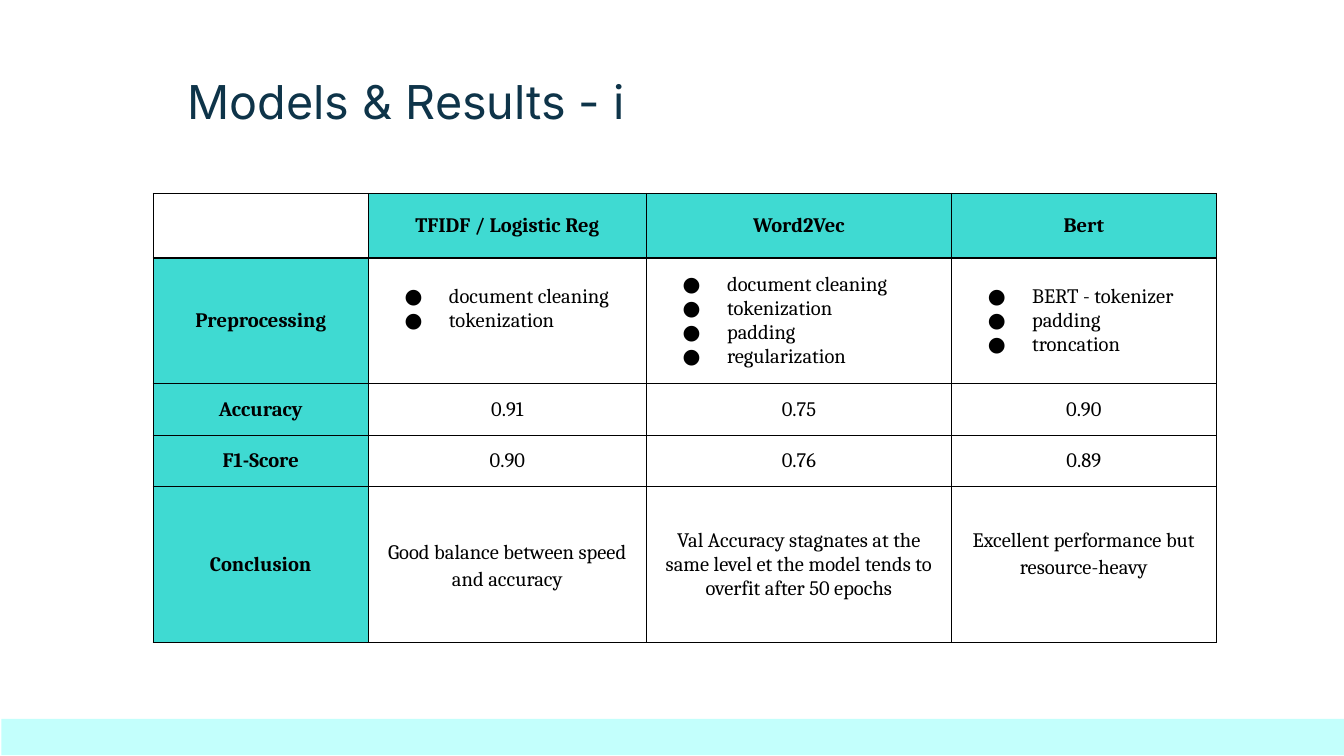
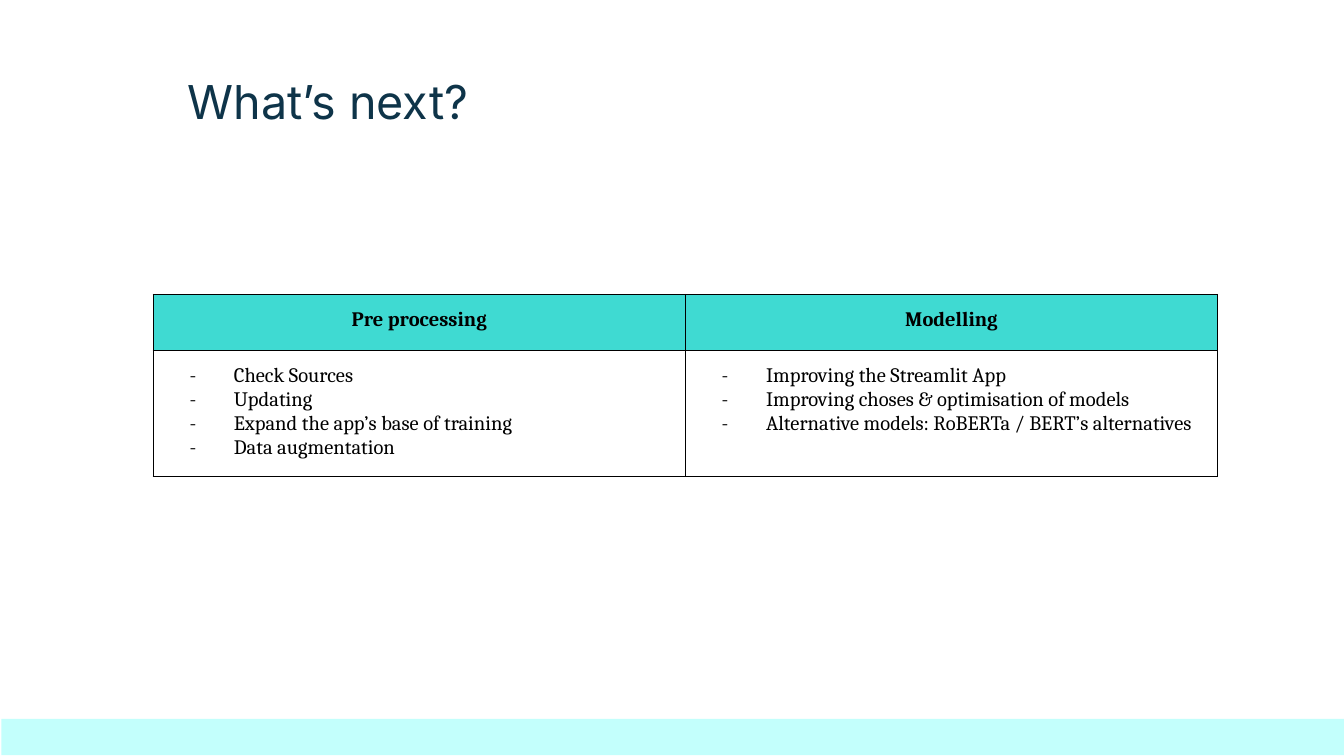
from lxml import etree
from pptx import Presentation
from pptx import util as u
from pptx.dml.color import RGBColor
from pptx.enum import shapes, text
from pptx.oxml import ns

NAVY = RGBColor(0x0E, 0x34, 0x49)
TURQUOISE = RGBColor(0x3F, 0xDA, 0xD2)
PALE_AQUA = RGBColor(0xC3, 0xFF, 0xFC)
BLACK = RGBColor(0, 0, 0)

TITLE_FONT, TABLE_FONT = "Inter", "Cambria"
TABLE_SIZE = 11
INSET = u.Inches(0.1)
RAISED_INSET = u.Inches(0.28)
TABLE_LEFT = 1.14
CENTER = text.PP_ALIGN.CENTER
TOP, MIDDLE = text.MSO_ANCHOR.TOP, text.MSO_ANCHOR.MIDDLE


def add_run(p, words, font, size, color, bold=False):
    r = p.add_run()
    r.text = words
    r.font.name = font
    r.font.size = u.Pt(size)
    r.font.color.rgb = color
    r.font.bold = bold


def set_bullet(p, char):
    pPr = p._p.get_or_add_pPr()
    pPr.set("marL", str(u.Inches(0.5)))
    pPr.set("indent", str(u.Inches(-0.33)))
    color = etree.SubElement(pPr, ns.qn("a:buClr"))
    etree.SubElement(color, ns.qn("a:srgbClr"), val=str(BLACK))
    etree.SubElement(pPr, ns.qn("a:buSzPts"), val=str(TABLE_SIZE * 100))
    etree.SubElement(pPr, ns.qn("a:buFont"), typeface=TABLE_FONT)
    etree.SubElement(pPr, ns.qn("a:buChar"), char=char)


def set_end_size(p):
    """Keep the paragraph end mark from stretching the row."""
    end = etree.SubElement(p._p, ns.qn("a:endParaRPr"),
                           sz=str(TABLE_SIZE * 100))
    etree.SubElement(end, ns.qn("a:latin"), typeface=TABLE_FONT)


def set_borders(cell):
    tcPr = cell._tc.get_or_add_tcPr()
    for side in ("lnL", "lnR", "lnT", "lnB"):
        ln = etree.SubElement(tcPr, ns.qn("a:" + side), w=str(u.Pt(0.75)))
        fill = etree.SubElement(ln, ns.qn("a:solidFill"))
        etree.SubElement(fill, ns.qn("a:srgbClr"), val=str(BLACK))


def fill_cell(cell, content, header, anchor, bullet, spacing, raised):
    """A list becomes bullets, a string one centred paragraph."""
    set_borders(cell)
    if header and content:
        cell.fill.solid()
        cell.fill.fore_color.rgb = TURQUOISE
    else:
        cell.fill.background()
    cell.vertical_anchor = anchor
    cell.margin_left = cell.margin_right = cell.margin_top = INSET
    cell.margin_bottom = RAISED_INSET if raised else INSET
    tf = cell.text_frame
    lines = content if isinstance(content, list) else [content]
    for i, line in enumerate(lines):
        p = tf.add_paragraph() if i else tf.paragraphs[0]
        if isinstance(content, list):
            set_bullet(p, bullet)
        else:
            p.alignment = CENTER
        if spacing:
            p.line_spacing = spacing
        if line:
            add_run(p, line, TABLE_FONT, TABLE_SIZE, BLACK, header)
        set_end_size(p)


def add_grid(s, top, widths, heights, rows, anchor, bullet,
             header_column=False, spacings=None, raised=()):
    spacings = spacings or {}
    frame = s.shapes.add_table(
        len(rows), len(widths), u.Inches(TABLE_LEFT), u.Inches(top),
        u.Inches(sum(widths)), u.Inches(sum(heights)))
    table = frame.table
    table.first_row = table.horz_banding = False
    for column, width in zip(table.columns, widths):
        column.width = u.Inches(width)
    for row, height in zip(table.rows, heights):
        row.height = u.Inches(height)
    for i, row in enumerate(rows):
        for j, content in enumerate(row):
            header = i == 0 or (header_column and j == 0)
            fill_cell(table.cell(i, j), content, header, anchor, bullet,
                      spacings.get((i, j)), (i, j) in raised)


def add_slide(prs, title):
    """Blank slide with the shared title and bottom band."""
    s = prs.slides.add_slide(prs.slide_layouts[6])
    box = s.shapes.add_textbox(u.Inches(1.3), u.Inches(0.44),
                               u.Inches(5.81), u.Inches(0.58))
    tf = box.text_frame
    tf.word_wrap = True
    tf.vertical_anchor = TOP
    tf.margin_left = tf.margin_right = INSET
    tf.margin_top = tf.margin_bottom = INSET
    add_run(tf.paragraphs[0], title, TITLE_FONT, 25, NAVY)

    band = s.shapes.add_shape(shapes.MSO_SHAPE.RECTANGLE, u.Inches(0.01),
                              u.Inches(5.35), u.Inches(10), u.Inches(0.27))
    band.shadow.inherit = False
    band.fill.solid()
    band.fill.fore_color.rgb = PALE_AQUA
    band.line.fill.background()
    return s


def build_results(prs):
    s = add_slide(prs, "Models & Results - i")
    cleaning = ["document cleaning", "tokenization"]
    rows = [
        ["", "TFIDF / Logistic Reg", "Word2Vec", "Bert"],
        ["Preprocessing", cleaning, cleaning + ["padding", "regularization"],
         ["BERT - tokenizer", "padding", "troncation"]],
        ["Accuracy", "0.91", "0.75", "0.90"],
        ["F1-Score", "0.90", "0.76", "0.89"],
        ["Conclusion", "Good balance between speed and accuracy",
         "Val Accuracy stagnates at the same level et the model tends to "
         "overfit after 50 epochs",
         "Excellent performance but resource-heavy"],
    ]
    add_grid(s, 1.44, [1.6, 2.07, 2.27, 1.97], [0.48, 0.86, 0.35, 0.35, 1.16],
             rows, MIDDLE, "●", header_column=True,
             spacings={(4, 1): 1.15, (4, 3): 1.15}, raised={(1, 1), (4, 3)})


def build_next_steps(prs):
    s = add_slide(prs, "What’s next?")
    rows = [
        ["Pre processing", "Modelling"],
        [["Check Sources", "Updating", "Expand the app’s base of training",
          "Data augmentation"],
         ["Improving the Streamlit App",
          "Improving choses & optimisation of models",
          "Alternative models: RoBERTa / BERT’s alternatives"]],
    ]
    add_grid(s, 2.19, [3.96] * 2, [0.42] * 2, rows, TOP, "-")


def main():
    prs = Presentation()
    # Widescreen 16:9
    prs.slide_width, prs.slide_height = u.Inches(10), u.Inches(10 * 9 / 16)
    build_results(prs)
    build_next_steps(prs)
    prs.save("out.pptx")


if __name__ == "__main__":
    main()
